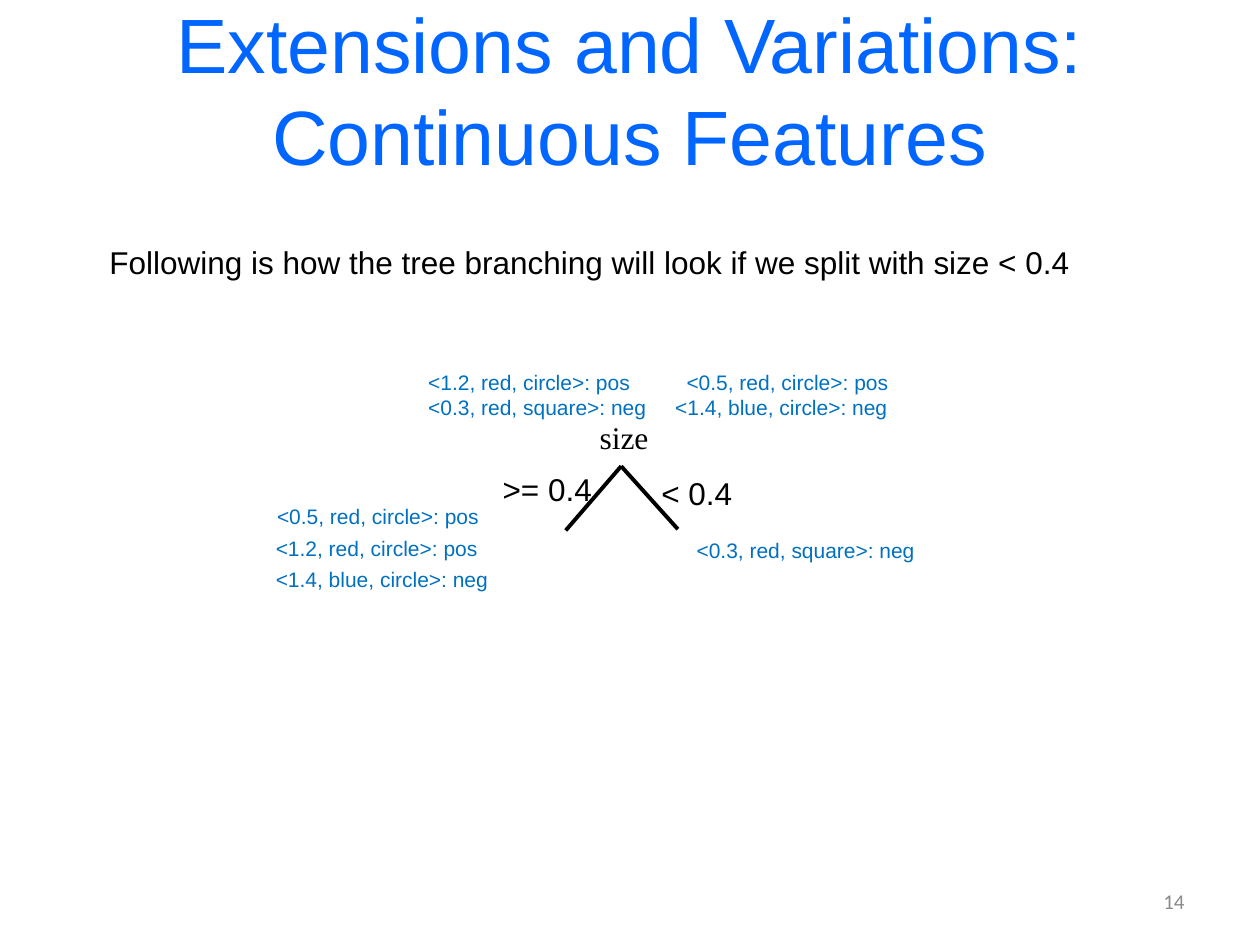
from dataclasses import dataclass

from lxml import etree
from pptx import Presentation
from pptx.dml.color import RGBColor
from pptx.enum import shapes, text
from pptx.oxml import ns
from pptx.util import Inches, Pt

TITLE_BLUE = RGBColor(0x00, 0x66, 0xFF)
EXAMPLE_BLUE = RGBColor(0x00, 0x70, 0xC0)
BLACK = RGBColor(0, 0, 0)
GRAY = RGBColor(0x89, 0x89, 0x89)


@dataclass
class Label:
    text: str
    left: float
    top: float
    width: float
    height: float = 0.4
    size: int = 18
    color: RGBColor = BLACK
    font: str = "Arial"


@dataclass
class Example(Label):
    height: float = 0.3
    size: int = 12
    color: RGBColor = EXAMPLE_BLUE


@dataclass
class ExampleRow:
    first: str
    second: str
    tab: float


LABELS = [
    Label("Following is how the tree branching will look if we split with size < 0.4",
          0.77, 1.88, 7.89),
    Label("size", 4.66, 3.27, 0.59, font="Times New Roman"),
    Label(">= 0.4", 3.89, 3.68, 0.92),
    Label("< 0.4", 5.15, 3.71, 0.77),
    Example("<0.5, red, circle>: pos", 2.1, 3.95, 1.82),
    Example("<1.2, red, circle>: pos", 2.09, 4.2, 1.82),
    Example("<1.4, blue, circle>: neg", 2.09, 4.45, 1.95),
    Example("<0.3, red, square>: neg", 5.43, 4.22, 1.99),
]
ROOT_ROWS = [
    ExampleRow("<1.2, red, circle>: pos", "<0.5, red, circle>: pos", 2.05),
    ExampleRow("<0.3, red, square>: neg", "<1.4, blue, circle>: neg", 1.96),
]
APEX = (4.93, 3.7)
BRANCH_ENDS = [(4.49, 4.21), (5.38, 4.2)]


def add_run(p, content: str, size: int, color: RGBColor, font: str = "Arial") -> None:
    r = p.add_run()
    r.text = content
    r.font.size = Pt(size)
    r.font.name = font
    r.font.color.rgb = color


def add_label(s, label: Label) -> None:
    box = s.shapes.add_textbox(Inches(label.left), Inches(label.top),
                               Inches(label.width), Inches(label.height))
    tf = box.text_frame
    tf.word_wrap = False
    tf.auto_size = text.MSO_AUTO_SIZE.SHAPE_TO_FIT_TEXT
    add_run(tf.paragraphs[0], label.text, label.size, label.color, label.font)


def add_root_examples(s, rows: list[ExampleRow]) -> None:
    box = s.shapes.add_textbox(Inches(3.3), Inches(2.88), Inches(4.45), Inches(0.51))
    tf = box.text_frame
    tf.word_wrap = True
    tf.auto_size = text.MSO_AUTO_SIZE.SHAPE_TO_FIT_TEXT
    for i, row in enumerate(rows):
        p = tf.add_paragraph() if i else tf.paragraphs[0]
        tabs = etree.SubElement(p._p.get_or_add_pPr(), ns.qn("a:tabLst"))
        etree.SubElement(tabs, ns.qn("a:tab"), pos=str(Inches(row.tab)), algn="l")
        add_run(p, f"{row.first}\t{row.second}", 12, EXAMPLE_BLUE)


def add_branch(s, start: tuple[float, float], end: tuple[float, float]) -> None:
    line = s.shapes.add_connector(shapes.MSO_CONNECTOR.STRAIGHT,
                                  *(Inches(v) for v in start + end))
    line.line.color.rgb = BLACK
    line.line.width = Pt(2.25)
    etree.SubElement(line._element.spPr, ns.qn("a:effectLst"))


def add_title(s, content: str) -> None:
    sp = s.shapes.title
    sp.left, sp.top, sp.width, sp.height = (Inches(v) for v in (0.5, 0.08, 9, 1.25))
    tf = sp.text_frame
    tf.word_wrap = True
    tf.auto_size = text.MSO_AUTO_SIZE.NONE
    tf.vertical_anchor = text.MSO_ANCHOR.MIDDLE
    p = tf.paragraphs[0]
    p.alignment = text.PP_ALIGN.CENTER
    add_run(p, content, 44, TITLE_BLUE)


def add_page_number(s, number: int) -> None:
    box = s.shapes.add_textbox(Inches(7.17), Inches(6.95), Inches(2.33), Inches(0.4))
    tf = box.text_frame
    tf.word_wrap = True
    tf.vertical_anchor = text.MSO_ANCHOR.MIDDLE
    p = tf.paragraphs[0]
    p.alignment = text.PP_ALIGN.RIGHT
    add_run(p, str(number), 12, GRAY, "Calibri")


def main() -> None:
    prs = Presentation()
    prs.slide_width, prs.slide_height = Inches(10), Inches(7.5)
    s = prs.slides.add_slide(prs.slide_layouts.get_by_name("Title Only"))
    add_title(s, "Extensions and Variations: Continuous Features")
    add_page_number(s, 14)
    for end in BRANCH_ENDS:
        add_branch(s, APEX, end)
    add_root_examples(s, ROOT_ROWS)
    for label in LABELS:
        add_label(s, label)
    prs.save("out.pptx")


if __name__ == "__main__":
    main()
